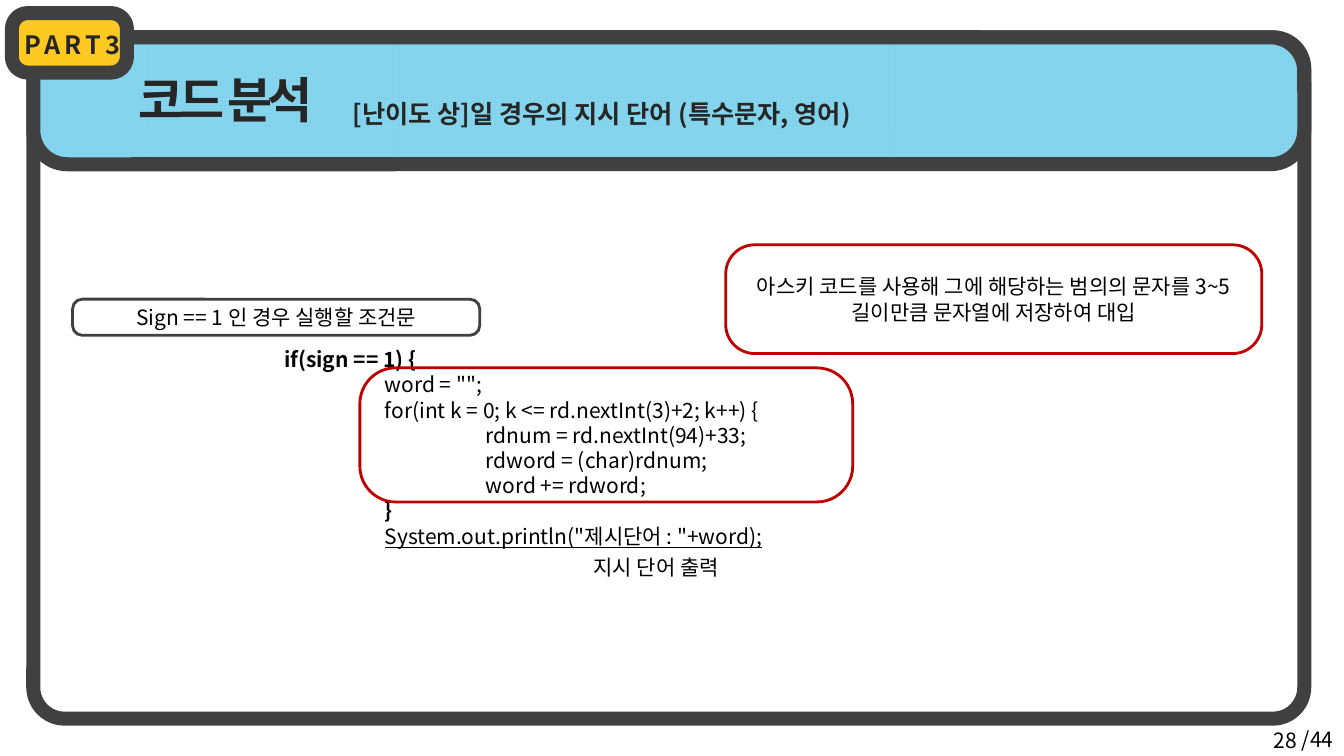
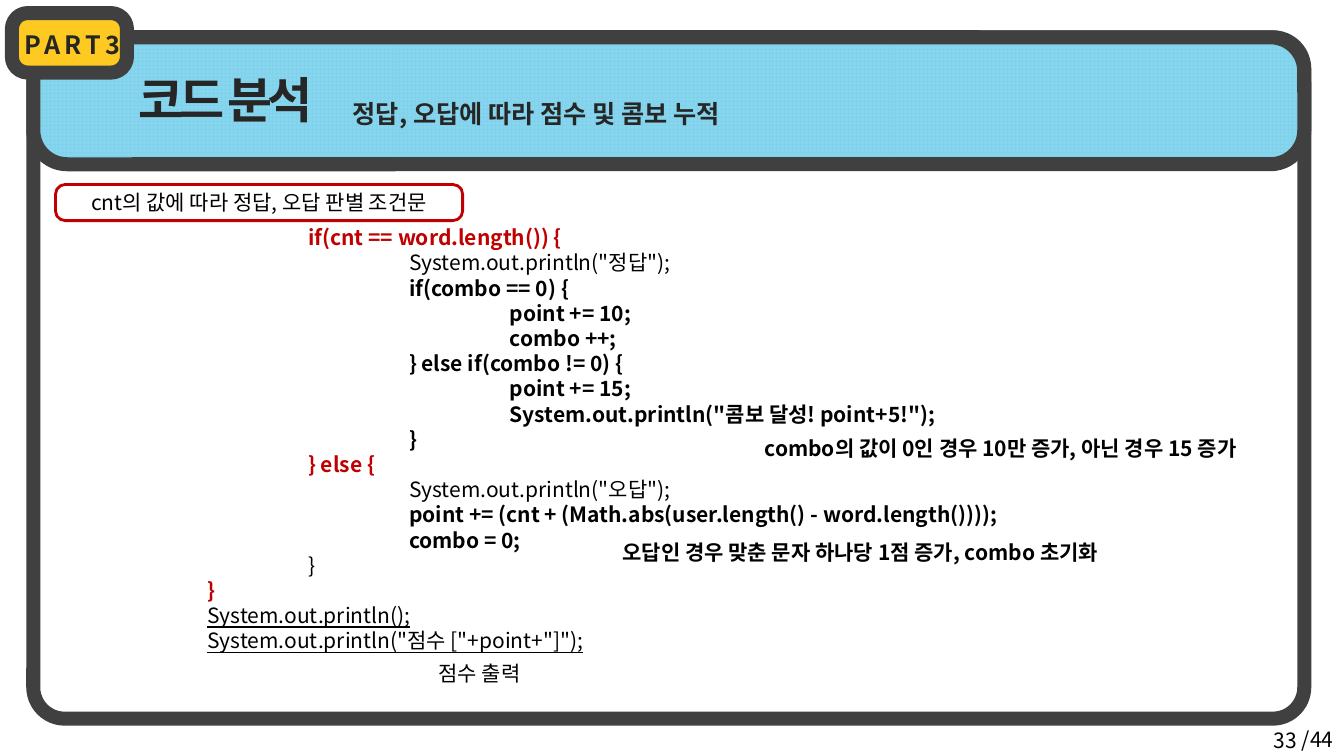
import dataclasses

import pptx
import pptx.dml.color
import pptx.enum.dml
import pptx.enum.shapes
import pptx.enum.text
import pptx.util
from lxml import etree
from pptx.oxml.ns import qn

Cm = pptx.util.Cm
Pt = pptx.util.Pt
ALIGN = pptx.enum.text.PP_ALIGN
ANCHOR = pptx.enum.text.MSO_ANCHOR


@dataclasses.dataclass(frozen=True)
class Theme:
    font: str = "Noto Sans CJK KR"
    paper: str = "FFFFFF"
    ink: str = "000000"
    heading: str = "262626"
    border: str = "404040"
    accent: str = "C00000"
    badge: str = "FECA21"
    grid_line: str = "80D2EC"
    grid_ground: str = "88D6ED"
    title_size: float = 35
    subtitle_size: float = 18
    body_size: float = 15
    line_height: float = 1.2
    heavy_line: float = 10
    light_line: float = 2
    corner: float = 0.267
    frame_corner: float = 0.046


@dataclasses.dataclass(frozen=True)
class Box:
    """A region measured in centimetres."""
    left: float
    top: float
    width: float
    height: float

    def inner(self, dx, dy, width, height):
        return Box(self.left + dx, self.top + dy, width, height)

    def lengths(self):
        return [Cm(v) for v in (self.left, self.top, self.width, self.height)]


@dataclasses.dataclass(frozen=True)
class Style:
    size: float
    color: str
    bold: bool = False
    underline: bool = False
    spacing: int = 0  # hundredths of a point


THEME = Theme()
PLAIN = Style(THEME.body_size, THEME.ink)
BOLD = dataclasses.replace(PLAIN, bold=True)
UNDERLINED = dataclasses.replace(PLAIN, underline=True)
KEYWORD = dataclasses.replace(BOLD, color=THEME.accent)
SUBTITLE = Style(THEME.subtitle_size, THEME.heading, bold=True)
BADGE = dataclasses.replace(SUBTITLE, spacing=300)
TITLE = Style(THEME.title_size, THEME.heading, bold=True, spacing=-300)

SLIDE = Box(0, 0, 33.87, 19.05)
FRAME = SLIDE.inner(0.84, 0.94, 32.03, 17.17)
BAND_HEIGHT = 3.2
BODY = FRAME.inner(0, BAND_HEIGHT, FRAME.width, FRAME.height - BAND_HEIGHT)
INDENT = 2.54
TOTAL_PAGES = 44


def rgb(value):
    return pptx.dml.color.RGBColor.from_string(value)


# Text helpers
def format_paragraph(paragraph, style, align=ALIGN.LEFT, indent=0):
    paragraph.alignment = align
    paragraph.line_spacing = Pt(style.size * THEME.line_height)
    paragraph.space_before = Pt(0)
    if indent:
        paragraph._p.get_or_add_pPr().set("marL", str(Cm(indent * INDENT)))
    for run in paragraph.runs:
        font = run.font
        font.size, font.bold, font.underline = Pt(style.size), style.bold, style.underline
        font.color.rgb = rgb(style.color)
        font.name = THEME.font
        properties = run._r.get_or_add_rPr()
        etree.SubElement(properties, qn("a:ea")).set("typeface", THEME.font)
        if style.spacing:
            properties.set("spc", str(style.spacing))


def add_text(shapes, box, text, style, align=ALIGN.LEFT, anchor=ANCHOR.TOP, wrap=True):
    frame = shapes.add_textbox(*box.lengths()).text_frame
    frame.word_wrap = wrap
    frame.vertical_anchor = anchor
    frame.text = text
    format_paragraph(frame.paragraphs[0], style, align)


def add_panel(shapes, box, line, width=THEME.light_line, fill=None,
              corner=THEME.corner, text=""):
    """Rounded outline, optionally filled and labelled."""
    panel = shapes.add_shape(pptx.enum.shapes.MSO_SHAPE.ROUNDED_RECTANGLE, *box.lengths())
    panel.shadow.inherit = False
    panel.adjustments[0] = corner
    panel.line.color.rgb = rgb(line)
    panel.line.width = Pt(width)
    if fill:
        panel.fill.solid()
        panel.fill.fore_color.rgb = rgb(fill)
    else:
        panel.fill.background()
    if text:
        frame = panel.text_frame
        frame.word_wrap = True
        frame.vertical_anchor = ANCHOR.MIDDLE
        frame.text = text
        format_paragraph(frame.paragraphs[0], PLAIN, ALIGN.CENTER)
    return panel


# Shared regions
def add_header(slide, box, title, subtitle):
    band = add_panel(slide.shapes, box, THEME.border, THEME.heavy_line)
    band.fill.patterned()
    band.fill.pattern = pptx.enum.dml.MSO_PATTERN.LARGE_GRID
    band.fill.fore_color.rgb = rgb(THEME.grid_line)
    band.fill.back_color.rgb = rgb(THEME.grid_ground)

    # The title sits in front of the band
    heading = slide.shapes.title
    heading.element.getparent().append(heading.element)
    heading.left, heading.top, heading.width, heading.height = box.inner(
        2.39, 0.69, 12.9, 1.75).lengths()
    heading.text_frame.text = title
    heading.text_frame.word_wrap = True
    heading.text_frame.vertical_anchor = ANCHOR.TOP
    format_paragraph(heading.text_frame.paragraphs[0], TITLE)
    add_text(slide.shapes, box.inner(7.8, 1.42, 19.05, 1.02), subtitle, SUBTITLE)


def add_badge(slide, box, label):
    badge = slide.shapes.add_group_shape().shapes
    add_panel(badge, box, THEME.border, THEME.heavy_line, THEME.badge)
    add_text(badge, box.inner(0.03, 0.28, 3, 1.02), label, BADGE, ALIGN.CENTER, wrap=False)


def add_page_number(slide, box, page):
    add_text(slide.shapes, box.inner(0, 0, 7.62, box.height), str(page), PLAIN,
             ALIGN.RIGHT, ANCHOR.MIDDLE)
    add_text(slide.shapes, box.inner(7.24, 0.05, 1.32, 0.89), f"/{TOTAL_PAGES}", PLAIN,
             wrap=False)


def add_code(slide, box, lines):
    """Each line is (indent level, text, style)."""
    frame = slide.shapes.add_textbox(*box.lengths()).text_frame
    frame.word_wrap = True
    frame.text = "\n".join(text for _, text, _ in lines)
    for paragraph, (indent, _, style) in zip(frame.paragraphs, lines):
        format_paragraph(paragraph, style, indent=indent)


def add_base_slide(deck, page, subtitle):
    slide = deck.slides.add_slide(deck.slide_layouts.get_by_name("Title Only"))
    add_panel(slide.shapes, FRAME, THEME.border, THEME.heavy_line, THEME.paper,
              THEME.frame_corner)
    add_header(slide, FRAME.inner(0, 0, FRAME.width, BAND_HEIGHT), "코드 분석", subtitle)
    add_badge(slide, SLIDE.inner(0.3, 0.33, 2.9, 1.5), "PART3")
    add_page_number(slide, SLIDE.inner(25.32, 18.14, 8.55, 1.02), page)
    return slide


# Slide bodies
def add_word_body(slide, body):
    add_code(slide, body.inner(0.99, 4.47, 18.26, 5.38), [
        (2, "if(sign == 1) {", BOLD),
        (3, 'word = "";', PLAIN),
        (3, "for(int k = 0; k <= rd.nextInt(3)+2; k++) {", PLAIN),
        (4, "rdnum = rd.nextInt(94)+33;", PLAIN),
        (4, "rdword = (char)rdnum;", PLAIN),
        (4, "word += rdword;", PLAIN),
        (3, "}", BOLD),
        (3, 'System.out.println("제시단어 : "+word);', UNDERLINED),
    ])
    add_panel(slide.shapes, body.inner(0.99, 3.4, 10.26, 0.91), THEME.border,
              text="Sign == 1 인 경우 실행할 조건문")
    # Loop highlight and its explanation
    add_panel(slide.shapes, body.inner(8.23, 5.13, 12.42, 3.38), THEME.accent)
    add_panel(slide.shapes, body.inner(17.45, 2.03, 13.51, 2.74), THEME.accent,
              text="아스키 코드를 사용해 그에 해당하는 범의의 문자를 3~5 길이만큼 문자열에 저장하여 대입")
    add_text(slide.shapes, body.inner(13.87, 9.7, 4.09, 0.89), "지시 단어 출력", PLAIN)


def add_score_body(slide, body):
    add_code(slide, body.inner(1.6, 1.4, 23.09, 11.15), [
        (2, "if(cnt == word.length()) {", KEYWORD),
        (3, 'System.out.println("정답");', PLAIN),
        (3, "if(combo == 0) {", BOLD),
        (4, "point += 10;", BOLD),
        (4, "combo ++;", BOLD),
        (3, "} else if(combo != 0) {", BOLD),
        (4, "point += 15;", BOLD),
        (4, 'System.out.println("콤보 달성! point+5!");', BOLD),
        (3, "}", BOLD),
        (2, "} else {", KEYWORD),
        (3, 'System.out.println("오답");', PLAIN),
        (3, "point += (cnt + (Math.abs(user.length() - word.length())));", BOLD),
        (3, "combo = 0;", BOLD),
        (2, "}", PLAIN),
        (1, "}", KEYWORD),
        (1, "System.out.println();", UNDERLINED),
        (1, 'System.out.println("점수 ["+point+"]");', UNDERLINED),
    ])
    add_panel(slide.shapes, body.inner(0.56, 0.51, 10.26, 0.91), THEME.accent,
              text="cnt의 값에 따라 정답, 오답 판별 조건문")
    # Notes beside the code
    for dx, dy, width, note, style in (
        (18.18, 6.71, 13.2, "combo의 값이 0인 경우 10만 증가, 아닌 경우 15 증가", BOLD),
        (14.6, 9.32, 13.82, "오답인 경우 맞춘 문자 하나당 1점 증가, combo 초기화", BOLD),
        (9.96, 12.37, 2.84, "점수 출력", PLAIN),
    ):
        add_text(slide.shapes, body.inner(dx, dy, width, 0.89), note, style)


def main():
    deck = pptx.Presentation()
    deck.slide_width, deck.slide_height = Cm(SLIDE.width), Cm(SLIDE.height)
    for page, subtitle, add_body in (
        (28, "[난이도 상]일 경우의 지시 단어 (특수문자, 영어)", add_word_body),
        (33, "정답, 오답에 따라 점수 및 콤보 누적", add_score_body),
    ):
        add_body(add_base_slide(deck, page, subtitle), BODY)
    deck.save("out.pptx")


if __name__ == "__main__":
    main()
